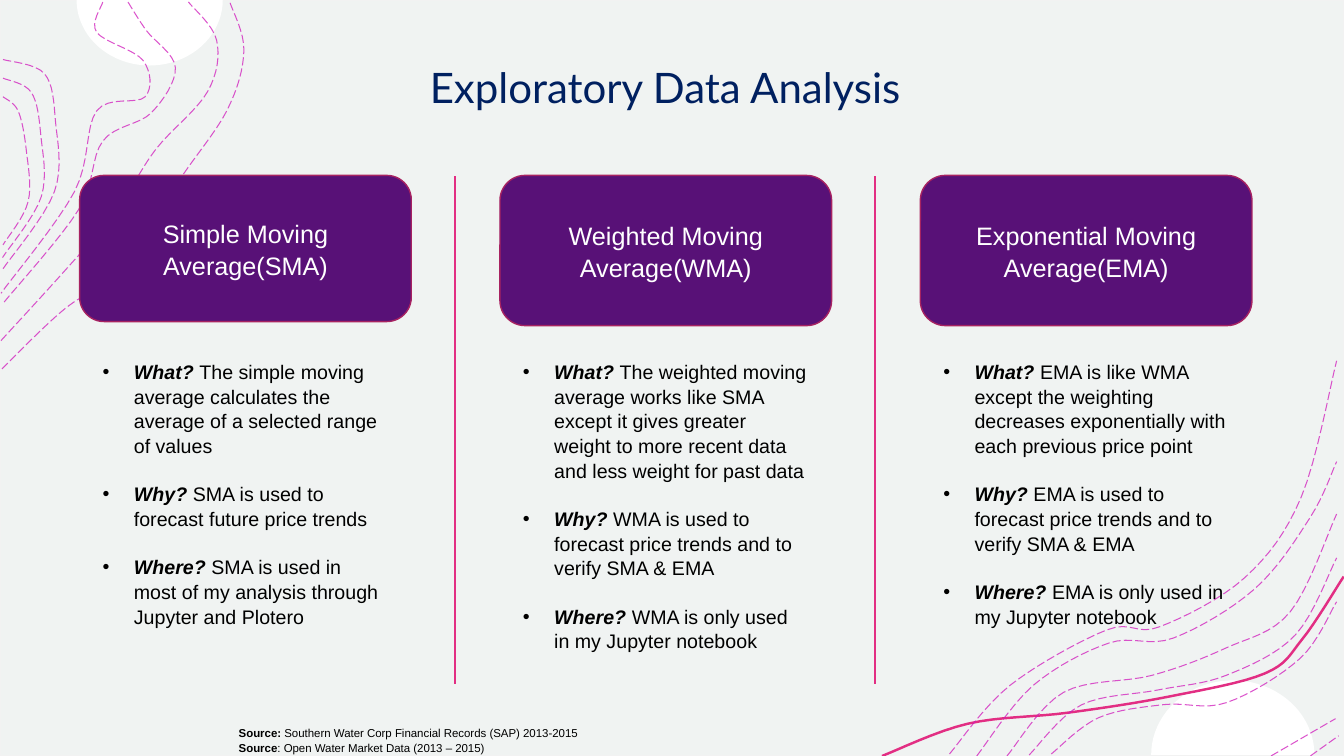
import math
from dataclasses import dataclass

import lxml.etree
import pptx
import pptx.dml.color
import pptx.enum.dml
import pptx.enum.shapes
import pptx.enum.text
import pptx.oxml
import pptx.oxml.ns
import pptx.util

# Grid: square cells, 75 rows to the slide height
CELL = pptx.util.Inches(0.1)
COLS, ROWS = 133.33, 75
LEFT, PITCH, CARD_W = 7.9, 41.7, 32.9
CARD_TOP, BODY_TOP = 17.4, 35.1
INK, PURPLE, PINK, ORCHID = "000000", "581177", "E22E83", "D01CBC"
LEADING = 1.05
BODY_SIZE, BODY_GAP, NOTE_SIZE = 14, 16.9, 8.2
SHAPES = pptx.enum.shapes.MSO_SHAPE
CENTER = pptx.enum.text.PP_ALIGN.CENTER
MIDDLE = pptx.enum.text.MSO_ANCHOR.MIDDLE
Points = list[tuple[float, float]]


@dataclass
class Method:
    title: str
    card_rows: float
    notes: dict[str, str]


@dataclass
class Blob:
    center: float
    base: float
    half_width: float
    depth: float


@dataclass
class Contours:
    """Lines spread evenly from the first outline to the last."""
    first: Points
    last: Points
    count: int = 2


METHODS = [
    Method("Simple Moving Average(SMA)", 14.5, {
        "What?": "The simple moving average calculates the average of a selected range of values",
        "Why?": "SMA is used to forecast future price trends",
        "Where?": "SMA is used in most of my analysis through Jupyter and Plotero"}),
    Method("Weighted Moving Average(WMA)", 14.9, {
        "What?": "The weighted moving average works like SMA except it gives greater weight "
                 "to more recent data and less weight for past data",
        "Why?": "WMA is used to forecast price trends and to verify SMA & EMA",
        "Where?": "WMA is only used in my Jupyter notebook"}),
    Method("Exponential Moving Average(EMA)", 14.9, {
        "What?": "EMA is like WMA except the weighting decreases exponentially with each "
                 "previous price point",
        "Why?": "EMA is used to forecast price trends and to verify SMA & EMA",
        "Where?": "EMA is only used in my Jupyter notebook"}),
]
SOURCES = [("Source:", " Southern Water Corp Financial Records (SAP) 2013-2015"),
           ("Source", ": Open Water Market Data (2013 – 2015)")]
BLOBS = [Blob(14.85, 0, 7.25, 6.5), Blob(122.3, 74.9, 8.1, -7.4)]
RIBBON = [(87.5, 75), (96, 71.8), (106, 70.7), (116, 69.1), (125.5, 66.8), (129.2, 63.4),
          (133.3, 57.2)]
CONTOURS = [
    # Top left
    Contours([(0.2, 36.6), (6.6, 30.5), (13.2, 26.2), (17.4, 18.5), (22.5, 11), (24.2, 5),
              (22.8, 0.2)],
             [(0.1, 33.8), (6.4, 26.9), (11.5, 21), (15.4, 14.9), (20.6, 9.1), (21.5, 4),
              (18.7, 0.2)]),
    Contours([(12.7, 0.2), (14.5, 3), (17.4, 6.7), (15, 11.2), (10.2, 14), (7.8, 20.8),
              (0.3, 30.1)],
             [(10.2, 0.2), (9.6, 3.2), (14.2, 6), (14.4, 9.6), (9.6, 11), (7.4, 19),
              (0.1, 29.1)]),
    Contours([(0.3, 5.9), (4.4, 7.3), (5.5, 12), (5.4, 19), (0.2, 26.8)],
             [(0.3, 9.6), (1.8, 11), (2.6, 14.8), (2.8, 20), (0.3, 24.3)], 3),
    # Bottom right
    Contours([(94.2, 74.8), (100.2, 68), (109.8, 62.5), (115, 62.2), (123.5, 57.3),
              (129.1, 49.3), (132.6, 35.8)],
             [(96.9, 75), (102.5, 68), (110, 63.8), (116.4, 63.3), (124.5, 58.4),
              (130, 51.3), (132.6, 45.8)]),
    Contours([(99.9, 75), (105.5, 68.7), (114.3, 67), (121.6, 64.3), (128, 60.7), (132.6, 51)],
             [(104.3, 74.8), (109, 71.2), (115.5, 69.9), (121.7, 69.7), (129, 65.3),
              (132.6, 59.7)], 3),
    Contours([(126.1, 75), (132.5, 71.3)], [(130, 75), (132.8, 73)]),
]


def grid(*cells: float) -> list[int]:
    return [round(c * CELL) for c in cells]


def rgb(code: str) -> pptx.dml.color.RGBColor:
    return pptx.dml.color.RGBColor.from_string(code)


def paint(s, fill: str | None, line: str | None, width: float = 1) -> None:
    s.shadow.inherit = False
    for part, color in ((s.fill, fill), (s.line.fill, line)):
        if color:
            part.solid()
            part.fore_color.rgb = rgb(color)
        else:
            part.background()
    if line:
        s.line.width = pptx.util.Pt(width)


def smooth(knots: Points, steps: int = 8) -> Points:
    """Hermite curve through the knots, each slope taken from its neighbours."""
    k = [knots[0], *knots, knots[-1]]
    curve = [knots[0]]
    for before, start, end, after in zip(k, k[1:], k[2:], k[3:]):
        for t in (i / steps for i in range(1, steps + 1)):
            ease = t * t * (3 - 2 * t)
            leave, arrive = t * (1 - t) ** 2 / 2, t * t * (t - 1) / 2
            curve.append(tuple(b + (c - b) * ease + (c - a) * leave + (d - b) * arrive
                               for a, b, c, d in zip(before, start, end, after)))
    return curve


def add_outline(slide, points: Points, close: bool = False):
    start, *rest = [tuple(grid(x, y)) for x, y in points]
    builder = slide.shapes.build_freeform(*start)
    builder.add_line_segments(rest, close=close)
    return builder.convert_to_shape()


def add_blob(slide, b: Blob, steps: int = 40) -> None:
    angles = [math.pi * i / steps for i in range(steps + 1)]
    arc = [(b.center + b.half_width * math.cos(a), b.base + b.depth * math.sin(a)) for a in angles]
    paint(add_outline(slide, arc, True), "FFFFFF", None)


def add_contours(slide, c: Contours) -> None:
    for i in range(c.count):
        share = i / (c.count - 1)
        knots = [tuple(a + (b - a) * share for a, b in zip(p, q))
                 for p, q in zip(c.first, c.last)]
        s = add_outline(slide, smooth(knots))
        paint(s, None, ORCHID, 0.75)
        s.line.dash_style = pptx.enum.dml.MSO_LINE.LONG_DASH
        for color in s._element.spPr.iter(pptx.oxml.ns.qn("a:srgbClr")):
            lxml.etree.SubElement(color, pptx.oxml.ns.qn("a:alpha"), val="75000")


def add_box(slide, *cells: float):
    s = slide.shapes.add_textbox(*grid(*cells))
    s.text_frame.word_wrap = True
    return s.text_frame


def next_paragraph(tf, first: bool):
    p = tf.paragraphs[0] if first else tf.add_paragraph()
    p.line_spacing = LEADING
    return p


def add_run(p, text: str, size: float, color: str = INK, **format_values) -> None:
    r = p.add_run()
    r.text = text
    r.font.color.rgb = rgb(color)
    values = {"name": "Arial", "size": pptx.util.Pt(size), **format_values}
    for key, value in values.items():
        setattr(r.font, key, value)


def add_centered(tf, text: str, size: float, color: str, name: str = "Arial") -> None:
    tf.word_wrap, tf.vertical_anchor = True, MIDDLE
    p = next_paragraph(tf, True)
    p.alignment = CENTER
    add_run(p, text, size, color, name=name)


def add_method(slide, m: Method, left: float) -> None:
    card = slide.shapes.add_shape(SHAPES.ROUNDED_RECTANGLE,
                                  *grid(left, CARD_TOP, CARD_W, m.card_rows))
    paint(card, PURPLE, "A72261")
    add_centered(card.text_frame, m.title, 18, "FFFFFF")
    tf = add_box(slide, left + 1.3, BODY_TOP, CARD_W - 2.6, 29.3)
    for i, (question, answer) in enumerate(m.notes.items()):
        p = next_paragraph(tf, i == 0)
        if i:
            p.space_before = pptx.util.Pt(BODY_GAP)
        pPr = p._p.get_or_add_pPr()
        indent = grid(3.1)[0]
        pPr.set("marL", str(indent))
        pPr.set("indent", str(-indent))
        lxml.etree.SubElement(pPr, pptx.oxml.ns.qn("a:buFont"), typeface="Arial")
        lxml.etree.SubElement(pPr, pptx.oxml.ns.qn("a:buChar"), char="•")
        add_run(p, question + " ", BODY_SIZE, bold=True, italic=True)
        add_run(p, answer, BODY_SIZE)


def add_separator(slide, x: float) -> None:
    s = slide.shapes.add_connector(pptx.enum.shapes.MSO_CONNECTOR.STRAIGHT,
                                   *grid(x, 17.5, x, 67.9))
    s.line.color.rgb = rgb(PINK)
    s.line.width = pptx.util.Pt(1.5)
    lxml.etree.SubElement(s._element.spPr, pptx.oxml.ns.qn("a:effectLst"))


def main() -> None:
    prs = pptx.Presentation()
    prs.slide_width, prs.slide_height = grid(COLS, ROWS)
    slide = prs.slides.add_slide(prs.slide_layouts[6])

    # Backdrop
    paint(slide.shapes.add_shape(SHAPES.RECTANGLE, *grid(0, 0, COLS, ROWS)), "F0F3F2", "F2F2F2")
    for blob in BLOBS:
        add_blob(slide, blob)
    paint(add_outline(slide, smooth(RIBBON)), None, PINK, 1.75)
    for contours in CONTOURS:
        add_contours(slide, contours)

    # Sources and title
    tf = add_box(slide, 22.7, 71.5, 36.3, 3.8)
    for i, (label, text) in enumerate(SOURCES):
        p = next_paragraph(tf, i == 0)
        add_run(p, label, NOTE_SIZE, bold=True)
        add_run(p, text, NOTE_SIZE)
    add_centered(add_box(slide, 8.5, 1.2, 115, 14.5), "Exploratory Data Analysis",
                 30, "002060", "Lato")

    # Three methods, a line between neighbours
    for i, method in enumerate(METHODS):
        left = LEFT + i * PITCH
        add_method(slide, method, left)
        if i:
            add_separator(slide, left - 4.5)

    prs.save("out.pptx")


if __name__ == "__main__":
    main()
